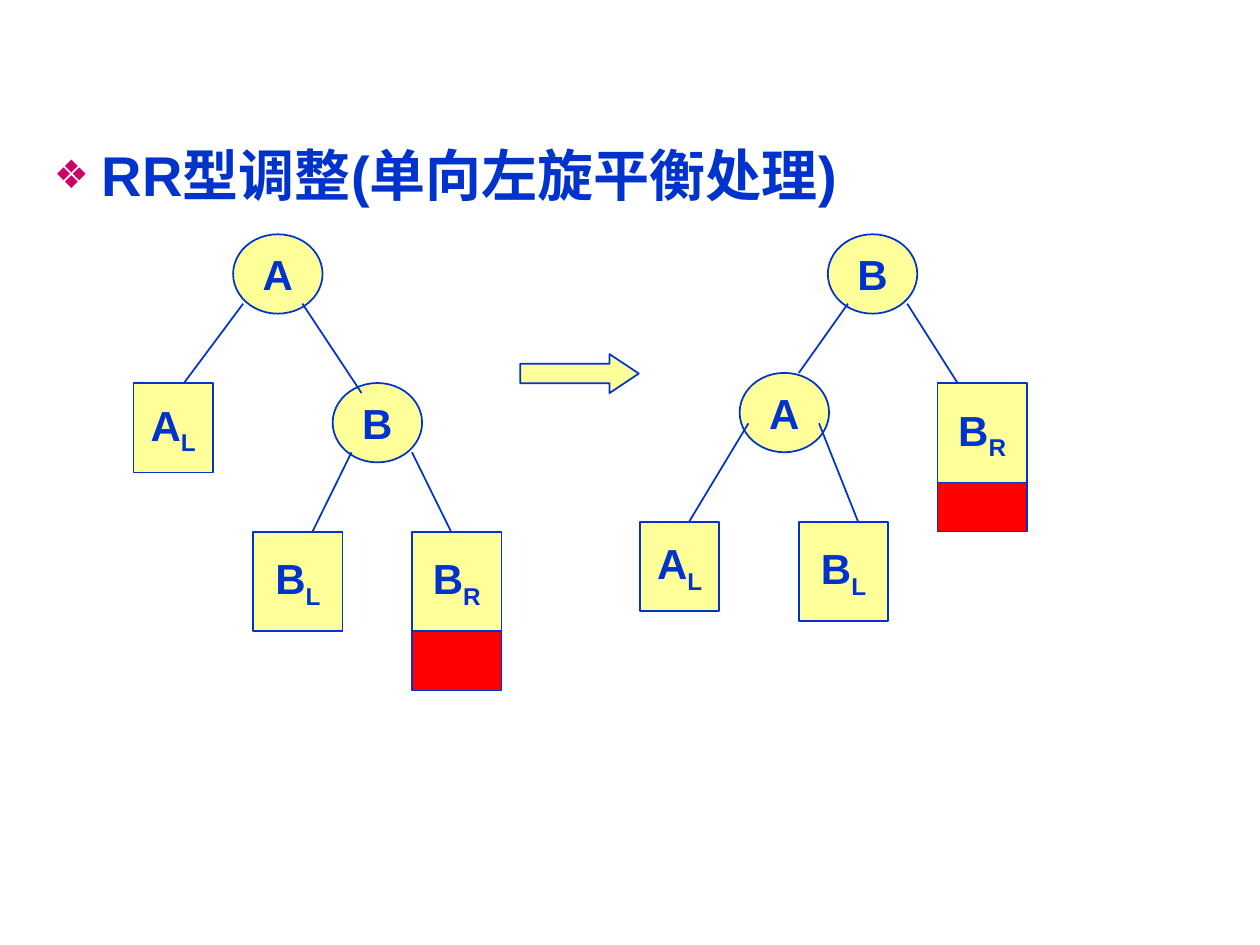
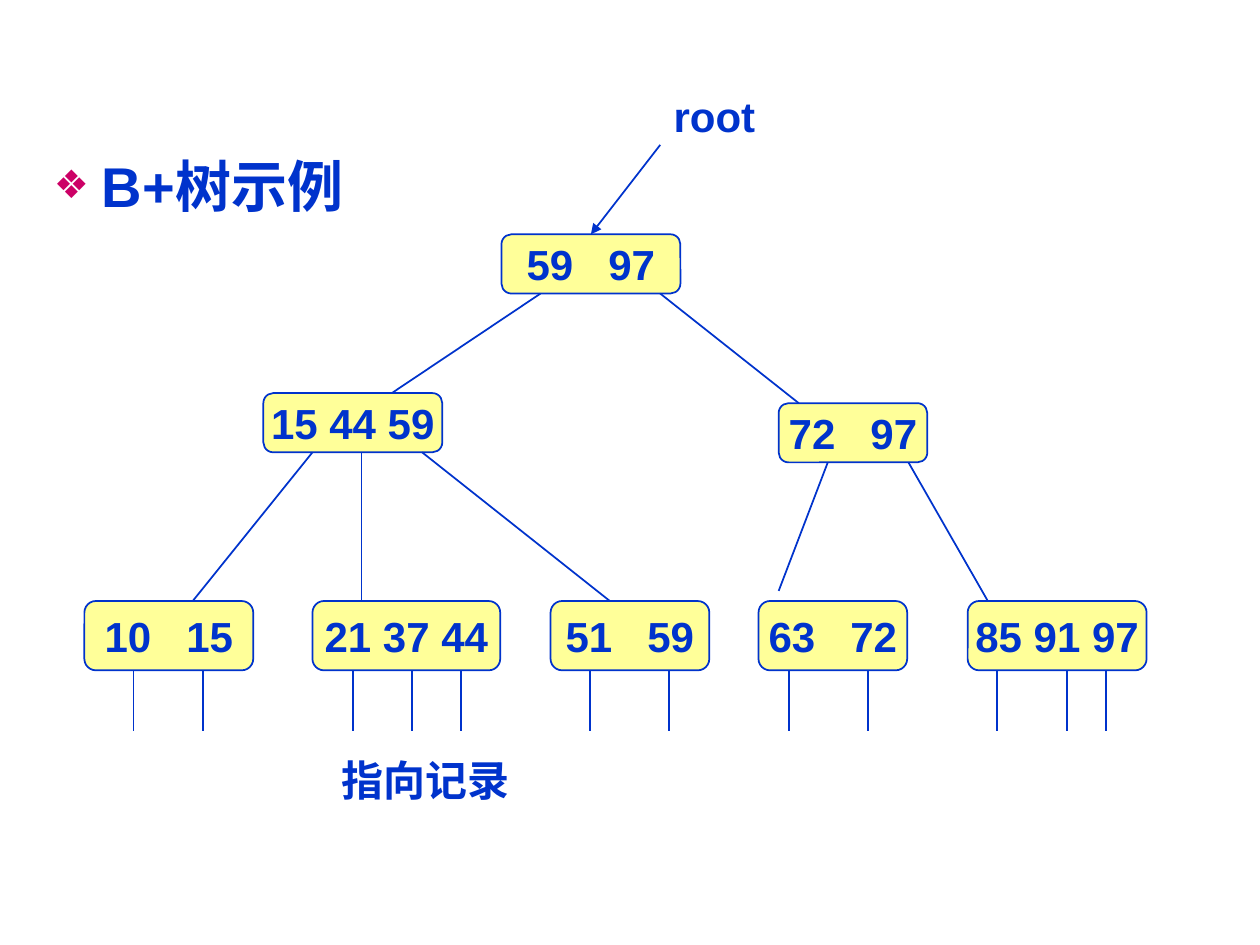
from lxml import etree
from pptx import Presentation
from pptx.dml.color import RGBColor
from pptx.enum.shapes import MSO_CONNECTOR, MSO_SHAPE
from pptx.enum.text import MSO_ANCHOR, PP_ALIGN
from pptx.oxml.ns import qn
from pptx.util import Inches, Pt

COLOURS = {"ink": "0033CC", "node": "FFFF99", "new": "FF0000", "bullet": "CC0066"}
FONT = "Arial"
STRAIGHT = MSO_CONNECTOR.STRAIGHT
RECTANGLE = MSO_SHAPE.RECTANGLE
OVAL = MSO_SHAPE.OVAL
ROUNDED = MSO_SHAPE.ROUNDED_RECTANGLE
ARROW = MSO_SHAPE.RIGHT_ARROW
MIDDLE = MSO_ANCHOR.MIDDLE
CENTER = PP_ALIGN.CENTER
INK = RGBColor.from_string(COLOURS["ink"])
SUBSCRIPT = {"baseline": "-25000"}
WIDE_GAP = {"spc": "1334"}


def add_box(page, kind, at, spans=(), fill="node"):
    """Add a shape, or a text box if kind is None, with centred spans of (text, attributes)."""
    place = [Inches(length) for length in at]
    if kind is None:
        box = page.shapes.add_textbox(*place)
    else:
        box = page.shapes.add_shape(kind, *place)
        box.shadow.inherit = False
        box.fill.solid()
        box.fill.fore_color.rgb = RGBColor.from_string(COLOURS[fill])
        box.line.color.rgb = INK
        box.line.width = Pt(1)
    frame = box.text_frame
    frame.word_wrap = False
    frame.vertical_anchor = MIDDLE
    para = frame.paragraphs[0]
    para.alignment = CENTER
    for text, attributes in spans:
        span = para.add_run()
        span.text = text
        span.font.name = FONT
        span.font.size = Pt(24)
        span.font.bold = True
        span.font.color.rgb = INK
        for name, value in attributes.items():
            span._r.get_or_add_rPr().set(name, value)
    return box


def add_line(page, x1, y1, x2, y2):
    line = page.shapes.add_connector(STRAIGHT, Inches(x1), Inches(y1), Inches(x2), Inches(y2))
    line.line.color.rgb = INK
    line.line.width = Pt(1)
    etree.SubElement(line._element.spPr, qn("a:effectLst"))
    return line


deck = Presentation()
deck.slide_width = Inches(10)
deck.slide_height = Inches(7.5)

# Pages with their bulleted headings
pages = []
for heading, top in [("RR型调整(单向左旋平衡处理)", 1.07), ("B+树示例", 1.15)]:
    page = deck.slides.add_slide(deck.slide_layouts[6])
    pages.append(page)
    box = page.shapes.add_textbox(Inches(0.33), Inches(top), Inches(9.34), Inches(0.7))
    box.text_frame.word_wrap = True
    para = box.text_frame.paragraphs[0]
    layout = para._p.get_or_add_pPr()
    layout.set("marL", str(Inches(0.38)))
    layout.set("indent", str(-Inches(0.38)))
    bullet_colour = etree.SubElement(layout, qn("a:buClr"))
    etree.SubElement(bullet_colour, qn("a:srgbClr"), val=COLOURS["bullet"])
    etree.SubElement(layout, qn("a:buSzPct"), val="70000")
    etree.SubElement(layout, qn("a:buFont"), typeface=FONT)
    etree.SubElement(layout, qn("a:buChar"), char="❖")
    span = para.add_run()
    span.text = heading
    span.font.name = FONT
    span.font.size = Pt(32)
    span.font.bold = True
    span.font.color.rgb = INK
rotation_page, index_page = pages

# Rotation: inserted nodes and the arrow between the two trees
for left, top in [(3.27, 5.01), (7.44, 3.75)]:
    add_box(rotation_page, RECTANGLE, (left, top, 0.71, 0.47), fill="new")
arrow = add_box(rotation_page, ARROW, (4.13, 2.81, 0.94, 0.31))
arrow.adjustments[1] = 0.75

# Rotation: tree nodes, left tree then right tree
for name, left, top in [("A", 1.85, 1.86), ("B", 2.64, 3.04),
                        ("B", 6.57, 1.86), ("A", 5.87, 2.96)]:
    add_box(rotation_page, OVAL, (left, top, 0.71, 0.63), [(name, {})])

# Rotation: subtrees
subtree_sizes = {"A": (0.63, 0.71), "B": (0.71, 0.79)}
for name, side, left, top in [("A", "L", 1.06, 3.04), ("B", "L", 2.01, 4.22),
                              ("B", "R", 3.27, 4.22), ("A", "L", 5.08, 4.14),
                              ("B", "L", 6.34, 4.14), ("B", "R", 7.44, 3.04)]:
    add_box(rotation_page, RECTANGLE, (left, top, *subtree_sizes[name]),
            [(name, {}), (side, SUBSCRIPT)])

# Rotation: branches
for branch in [(1.93, 2.41, 1.46, 3.04), (2.4, 2.41, 2.87, 3.12),
               (2.79, 3.59, 2.48, 4.22), (3.27, 3.59, 3.58, 4.22),
               (6.73, 2.41, 6.34, 2.96), (7.2, 2.41, 7.6, 3.04),
               (5.94, 3.36, 5.47, 4.14), (6.5, 3.36, 6.81, 4.14)]:
    add_line(rotation_page, *branch)

# B+ tree: nodes, two keys set wider apart than three
nodes = []
for keys, left, top, width, height in [
    (("59", "97"), 3.98, 1.86, 1.42, 0.47),
    (("15", "44", "59"), 2.09, 3.12, 1.42, 0.47),
    (("72", "97"), 6.18, 3.2, 1.18, 0.47),
    (("10", "15"), 0.67, 4.77, 1.34, 0.55),
    (("21", "37", "44"), 2.48, 4.77, 1.49, 0.55),
    (("51", "59"), 4.37, 4.77, 1.26, 0.55),
    (("63", "72"), 6.02, 4.77, 1.18, 0.55),
    (("85", "91", "97"), 7.68, 4.77, 1.42, 0.55),
]:
    if len(keys) == 2:
        spans = [(keys[0], {}), (" ", WIDE_GAP), (keys[1], {})]
    else:
        spans = [(" ".join(keys), {})]
    nodes.append(add_box(index_page, ROUNDED, (left, top, width, height), spans))

# B+ tree: branches
for branch in [(4.29, 2.33, 3.11, 3.12), (5.24, 2.33, 6.34, 3.2),
               (2.48, 3.59, 1.53, 4.77), (2.87, 3.59, 2.87, 4.77),
               (3.35, 3.59, 4.84, 4.77), (6.57, 3.67, 6.18, 4.69),
               (7.21, 3.67, 7.84, 4.77)]:
    add_line(index_page, *branch)

# B+ tree: record pointers under the leaves
for x in [1.06, 1.61, 2.8, 3.27, 3.66, 4.68, 5.31, 6.26, 6.89, 7.91, 8.47, 8.78]:
    add_line(index_page, x, 5.32, x, 5.8)

# B+ tree: root pointer and labels
root_pointer = add_line(index_page, 5.24, 1.15, 4.69, 1.86)
root_pointer.end_connect(nodes[0], 0)
etree.SubElement(root_pointer.line._get_or_add_ln(), qn("a:tailEnd"), type="triangle")
add_box(index_page, None, (5.16, 0.68, 1.02, 0.47), [("root", {})])
add_box(index_page, None, (0.98, 5.95, 4.8, 0.47), [("指向记录", {})])

deck.save("out.pptx")
